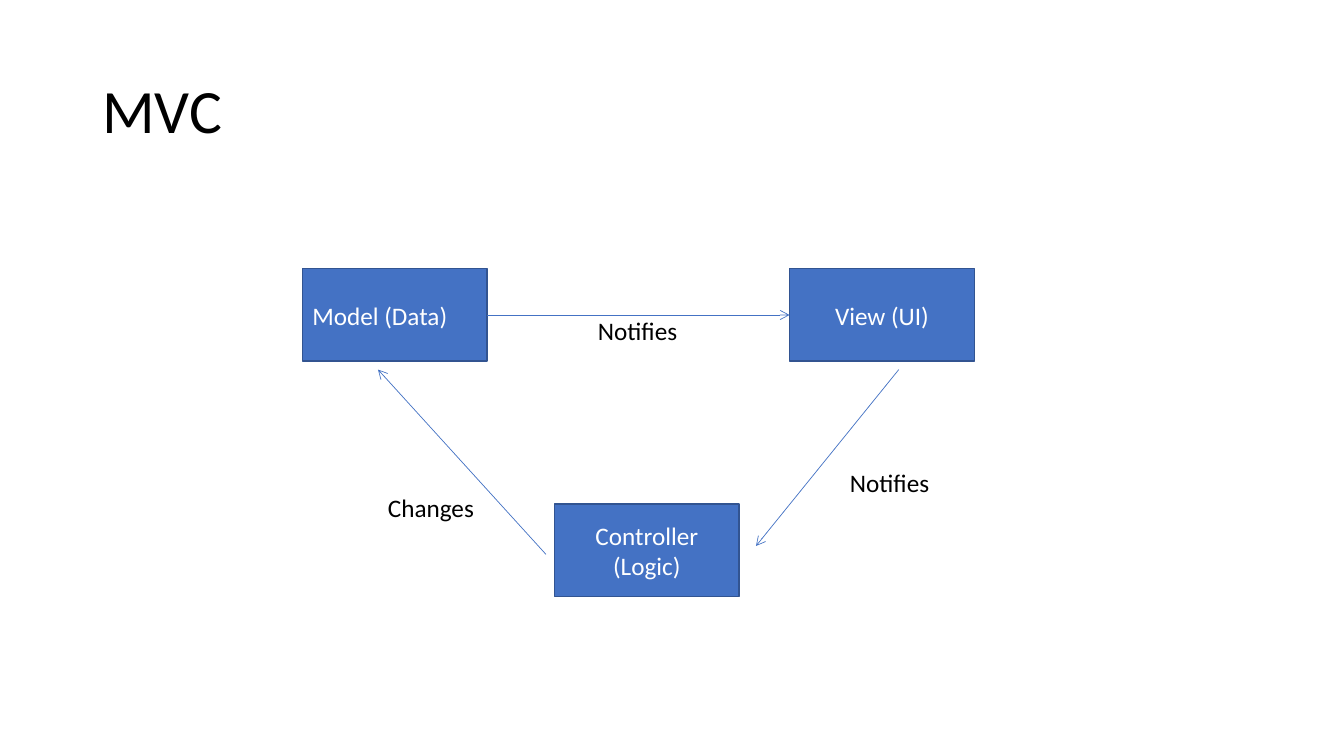
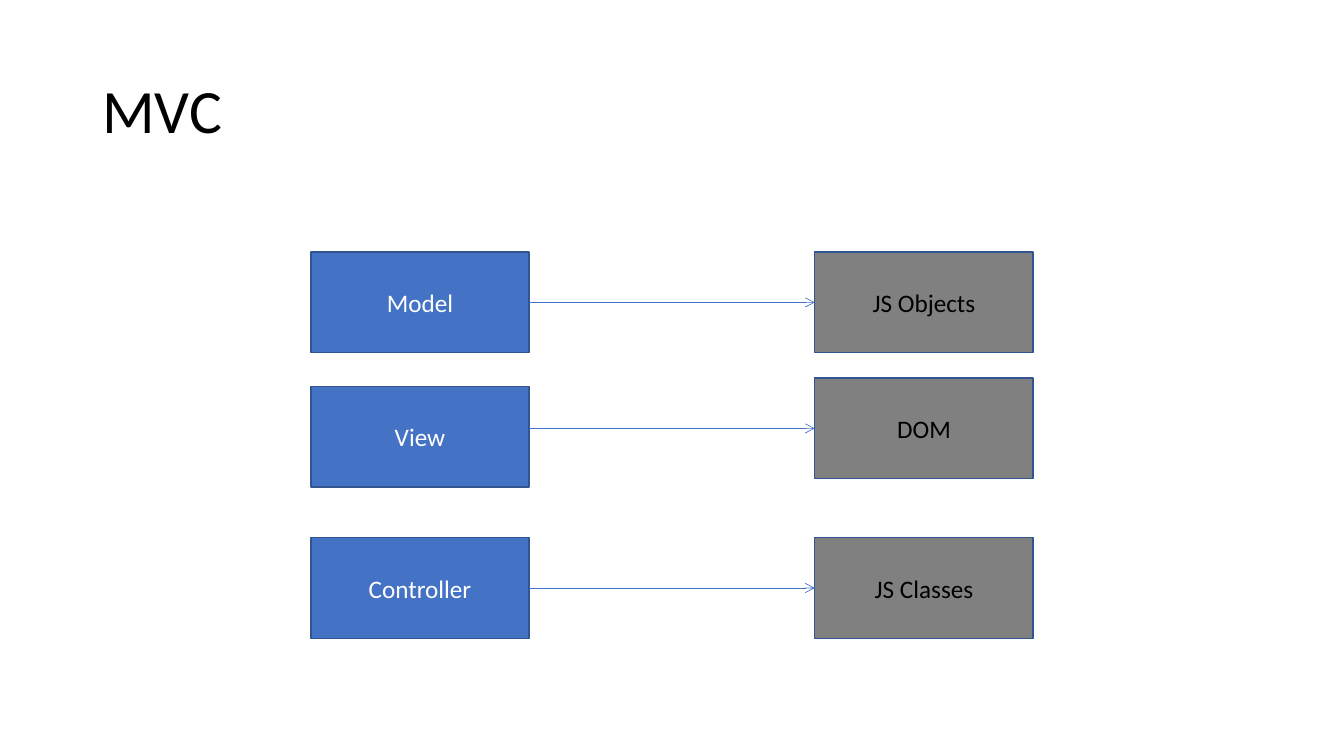
from dataclasses import dataclass

from lxml.etree import SubElement
from pptx import Presentation
from pptx.dml.color import RGBColor as Rgb
from pptx.enum.shapes import MSO_CONNECTOR as Line, MSO_SHAPE as Shape
from pptx.enum.text import MSO_ANCHOR as Anchor, MSO_AUTO_SIZE as Fit, PP_ALIGN as Align
from pptx.oxml.ns import qn
from pptx.util import Inches, Pt


@dataclass(frozen=True)
class Theme:
    font: str = "Calibri"
    blue: Rgb = Rgb(0x44, 0x72, 0xC4)
    edge: Rgb = Rgb(0x32, 0x54, 0x91)
    gray: Rgb = Rgb(0x80, 0x80, 0x80)
    black: Rgb = Rgb(0, 0, 0)
    white: Rgb = Rgb(0xFF, 0xFF, 0xFF)
    title_size: int = 44
    body_size: int = 18
    edge_width: float = 1
    arrow_width: float = 0.5


THEME = Theme()
COLUMNS, ROWS = 160, 90
CELLS_PER_INCH = 12
LEFT_SIDE, RIGHT_SIDE = 1, 3


def grid(*cells):
    return [Inches(cell / CELLS_PER_INCH) for cell in cells]


def write(frame, text, size, color, align=Align.LEFT):
    paragraph = frame.paragraphs[0]
    paragraph.alignment = align
    run = paragraph.add_run()
    run.text = text
    run.font.name = THEME.font
    run.font.size = Pt(size)
    run.font.color.rgb = color
    return paragraph


def add_title(slide, text):
    frame = slide.shapes.add_textbox(*grid(11, 4.8, 138, 17.4)).text_frame
    frame.word_wrap = True
    frame.vertical_anchor = Anchor.MIDDLE
    write(frame, text, THEME.title_size, THEME.black).line_spacing = 0.9


def add_label(slide, text, column, row, width):
    frame = slide.shapes.add_textbox(*grid(column, row, width, 4.8)).text_frame
    frame.word_wrap = False
    frame.auto_size = Fit.SHAPE_TO_FIT_TEXT
    write(frame, text, THEME.body_size, THEME.black)


def add_box(slide, text, place, fill=THEME.blue, color=THEME.white, align=Align.CENTER):
    box = slide.shapes.add_shape(Shape.RECTANGLE, *grid(*place))
    box.shadow.inherit = False
    box.fill.solid()
    box.fill.fore_color.rgb = fill
    box.line.color.rgb = THEME.edge
    box.line.width = Pt(THEME.edge_width)
    box.text_frame.word_wrap = True
    box.text_frame.vertical_anchor = Anchor.MIDDLE
    write(box.text_frame, text, THEME.body_size, color, align)
    return box


def add_arrow(slide, start, end):
    arrow = slide.shapes.add_connector(Line.STRAIGHT, *grid(*start, *end))
    arrow.line.color.rgb = THEME.blue
    arrow.line.width = Pt(THEME.arrow_width)
    SubElement(arrow.line._get_or_add_ln(), qn("a:tailEnd"), type="arrow")
    SubElement(arrow._element.spPr, qn("a:effectLst"))
    return arrow


def add_slide(deck, title):
    slide = deck.slides.add_slide(deck.slide_layouts[6])
    add_title(slide, title)
    return slide


def build_cycle(deck):
    slide = add_slide(deck, "MVC")
    width, height = 22, 11
    top, model_left, view_left = 32, 36, 94
    model = add_box(slide, "Model (Data)", (model_left, top, width, height), align=Align.LEFT)
    add_box(slide, "Controller (Logic)", (66, 60, width, height))
    view = add_box(slide, "View (UI)", (view_left, top, width, height))

    middle = top + height / 2
    model_to_view = add_arrow(slide, (model_left + width, middle), (view_left, middle))
    model_to_view.begin_connect(model, RIGHT_SIDE)
    model_to_view.end_connect(view, LEFT_SIDE)
    add_arrow(slide, (107, 44), (90, 65))
    add_arrow(slide, (65, 66), (45, 44))

    add_label(slide, "Notifies", 70, 37, 12)
    add_label(slide, "Notifies", 100, 55, 12)
    add_label(slide, "Changes", 45, 58, 12.8)


def build_mapping(deck):
    slide = add_slide(deck, "MVC")
    width, height = 26, 12
    part_left, tool_left = 37, 97
    pairs = [
        ("Model", 30, "JS Objects", 30),
        ("View", 46, "DOM", 45),
        ("Controller", 64, "JS Classes", 64),
    ]
    for part_name, part_top, tool_name, tool_top in pairs:
        part = add_box(slide, part_name, (part_left, part_top, width, height))
        tool = add_box(slide, tool_name, (tool_left, tool_top, width, height),
                       THEME.gray, THEME.black)
        middle = tool_top + height / 2
        arrow = add_arrow(slide, (part_left + width, middle), (tool_left, middle))
        arrow.end_connect(tool, LEFT_SIDE)
        if part_top == tool_top:
            arrow.begin_connect(part, RIGHT_SIDE)


def main():
    deck = Presentation()
    deck.slide_width, deck.slide_height = grid(COLUMNS, ROWS)
    build_cycle(deck)
    build_mapping(deck)
    deck.save("out.pptx")


main()
